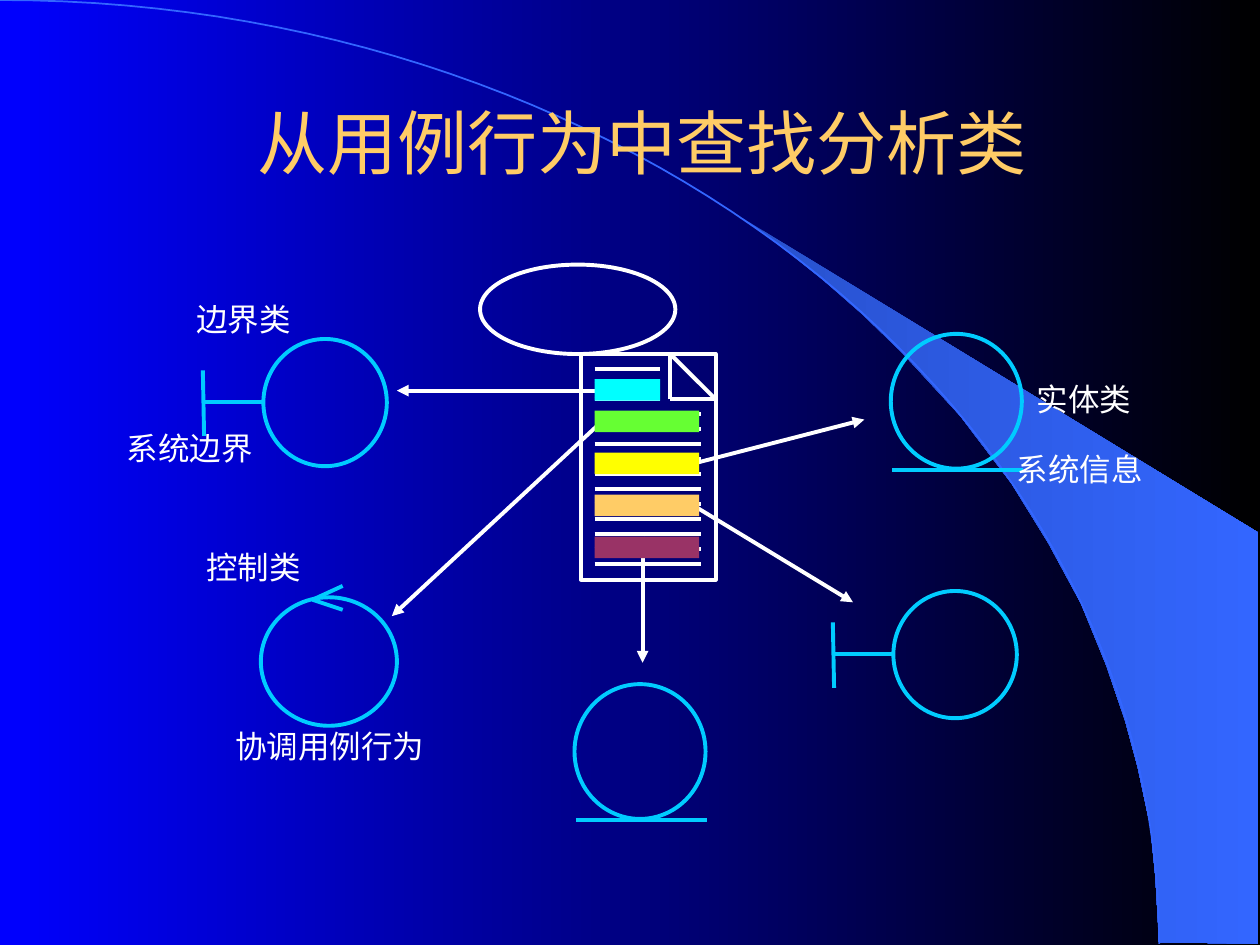
from pptx import Presentation
from pptx.dml.color import RGBColor
from pptx.enum.shapes import MSO_CONNECTOR, MSO_SHAPE
from pptx.enum.text import MSO_ANCHOR, MSO_AUTO_SIZE, PP_ALIGN
from pptx.oxml.ns import qn
from pptx.util import Inches, Pt
from lxml import etree

COLORS = {
    "blue": "0000FF", "black": "000000", "dusk": "2851CC", "sky": "3366FF",
    "gold": "FFCC66", "white": "FFFFFF", "icon": "00CCFF", "cyan": "00FFFF",
    "green": "66FF33", "yellow": "FFFF00", "plum": "993366",
}
FONT = "Arial"
STROKE = 2.25


def rgb(name):
    return RGBColor.from_string(COLORS[name])


def blend(fill, first, last):
    fill.gradient()
    fill.gradient_angle = 0
    for stop, name in zip(fill.gradient_stops, (first, last)):
        stop.color.rgb = rgb(name)


def outline(shape, color, width=STROKE):
    shape.line.color.rgb = rgb(color)
    shape.line.width = Pt(width)


def add_line(slide, start, end, color, arrow=False):
    line = slide.shapes.add_connector(
        MSO_CONNECTOR.STRAIGHT, *map(Inches, (*start, *end)))
    outline(line, color)
    props = line._element.spPr
    if arrow:
        etree.SubElement(props.find(qn("a:ln")), qn("a:tailEnd"), type="triangle")
    etree.SubElement(props, qn("a:effectLst"))


def add_shape(slide, kind, box, fill=None, line=None):
    shape = slide.shapes.add_shape(kind, *map(Inches, box))
    shape.shadow.inherit = False
    if fill:
        shape.fill.solid()
        shape.fill.fore_color.rgb = rgb(fill)
    else:
        shape.fill.background()
    if line:
        outline(shape, line)
    else:
        shape.line.fill.background()


def add_text(slide, box, text, size, color):
    frame = slide.shapes.add_textbox(*map(Inches, box)).text_frame
    frame.text = text
    frame.word_wrap = False
    font = frame.paragraphs[0].runs[0].font
    font.name, font.size = FONT, Pt(size)
    font.color.rgb = rgb(color)
    return frame


def add_path(slide, points, closed):
    points = [tuple(map(Inches, point)) for point in points]
    path = slide.shapes.build_freeform(*points[0])
    path.add_line_segments(points[1:], close=closed)
    shape = path.convert_to_shape()
    shape.shadow.inherit = False
    return shape


def add_backdrop(slide, wide, high):
    blend(slide.background.fill, "blue", "black")
    # Light beam
    beam = add_path(slide, [
        (9.2, 7.48), (9.99, 7.49), (9.99, 4.23), (5.89, 1.73), (6.24, 1.99),
        (6.53, 2.22), (6.85, 2.5), (7.16, 2.8), (7.62, 3.3), (8.03, 3.84),
        (8.32, 4.31), (8.58, 4.79), (8.78, 5.28), (8.93, 5.72), (9.03, 6.09),
        (9.13, 6.56), (9.17, 6.96)], True)
    blend(beam.fill, "dusk", "sky")
    beam.line.fill.background()
    # Quarter arc, sampled from a cubic curve
    steps = 60
    curve = []
    for i in range(steps + 1):
        t = i / steps
        u = 1 - t
        curve.append((wide * (3 * u * u * t * 0.552 + 3 * u * t * t + t ** 3),
                      high * (3 * u * t * t * 0.447 + t ** 3)))
    arc = add_path(slide, curve, False)
    arc.fill.background()
    outline(arc, "sky", 1)


def add_title(slide, box, text):
    frame = add_text(slide, box, text, 40, "gold")
    frame.word_wrap = True
    frame.vertical_anchor = MSO_ANCHOR.MIDDLE
    frame.paragraphs[0].alignment = PP_ALIGN.CENTER


def add_label(slide, box, text):
    frame = add_text(slide, box, text, 18, "white")
    frame.auto_size = MSO_AUTO_SIZE.SHAPE_TO_FIT_TEXT


def add_case(slide, x, y, wide, high):
    """Use case oval above its document, with arrows to the classes."""
    add_shape(slide, MSO_SHAPE.OVAL, (x - 0.8, y - 0.71, 1.55, 0.71), line="white")
    add_shape(slide, MSO_SHAPE.RECTANGLE, (x, y, wide, high), line="white")
    # Folded corner
    fold = 0.36
    right, inner = x + wide, x + wide - fold
    corners = [(inner, y), (right, y + fold), (inner, y + fold)]
    for i, start in enumerate(corners):
        add_line(slide, start, corners[(i + 1) % 3], "white")
    # Text rows, the first three shortened by the fold
    left = x + 0.11
    for i in range(14):
        row = y + 0.12 * (1 + i * 0.993)
        end = left + (0.52 if i < 3 else 0.84)
        add_line(slide, (left, row), (end, row), "white")
    # Arrows
    for start, end in [((0.22, 0.29), (-1.46, 0.29)), ((0.89, 0.87), (2.25, 0.52)),
                       ((0.49, 1.45), (0.49, 2.45)), ((0.89, 1.2), (2.16, 1.97)),
                       ((0.14, 0.56), (-1.5, 2.08))]:
        add_line(slide, (x + start[0], y + start[1]),
                 (x + end[0], y + end[1]), "white", arrow=True)
    # Marked passages
    add_shape(slide, MSO_SHAPE.RECTANGLE, (left, y + 0.2, 0.52, 0.17), "cyan")
    for i, color in enumerate(("green", "yellow", "gold", "plum")):
        top = y + 0.45 + i / 3
        add_shape(slide, MSO_SHAPE.RECTANGLE, (left, top, 0.83, 0.17), color)


def add_entity(slide, x, y, wide=1.04, high=1.07):
    add_shape(slide, MSO_SHAPE.OVAL, (x, y, wide, high), line="icon")
    base = y + high + 0.01
    add_line(slide, (x + 0.01, base), (x + wide + 0.01, base), "icon")


def add_control(slide, x, y, wide=1.08, high=1.02):
    add_shape(slide, MSO_SHAPE.OVAL, (x, y, wide, high), line="icon")
    for rise in (-0.09, 0.1):
        add_line(slide, (x + 0.65, y + rise), (x + 0.41, y + 0.02), "icon")


def add_border(slide, x, y, wide=0.98, high=1.01):
    add_shape(slide, MSO_SHAPE.OVAL, (x, y, wide, high), line="icon")
    bar, mid = x - 0.48, y + 0.5
    add_line(slide, (bar, y + 0.25), (bar + 0.01, y + 0.77), "icon")
    add_line(slide, (bar, mid), (x, mid), "icon")


def main():
    deck = Presentation()
    deck.slide_width, deck.slide_height = Inches(10), Inches(7.5)
    slide = deck.slides.add_slide(deck.slide_layouts[6])
    add_backdrop(slide, 9.2, 7.49)
    add_title(slide, (0.51, 0.76, 9.17, 0.73), "从用例行为中查找分析类")
    add_case(slide, 4.61, 2.81, 1.07, 1.79)
    # Analysis classes
    add_entity(slide, 7.07, 2.65)
    add_control(slide, 2.07, 4.74)
    add_border(slide, 2.09, 2.69)
    add_entity(slide, 4.56, 5.43)
    add_border(slide, 7.09, 4.69)
    # Labels
    for x, y, wide, text in [
            (8.13, 2.97, 0.95, "实体类"), (1.46, 2.33, 0.95, "边界类"),
            (1.54, 4.3, 0.95, "控制类"), (0.91, 3.36, 1.2, "系统边界"),
            (7.97, 3.52, 1.2, "系统信息"), (1.77, 5.72, 1.7, "协调用例行为")]:
        add_label(slide, (x, y, wide, 0.4), text)
    deck.save("out.pptx")


if __name__ == "__main__":
    main()
